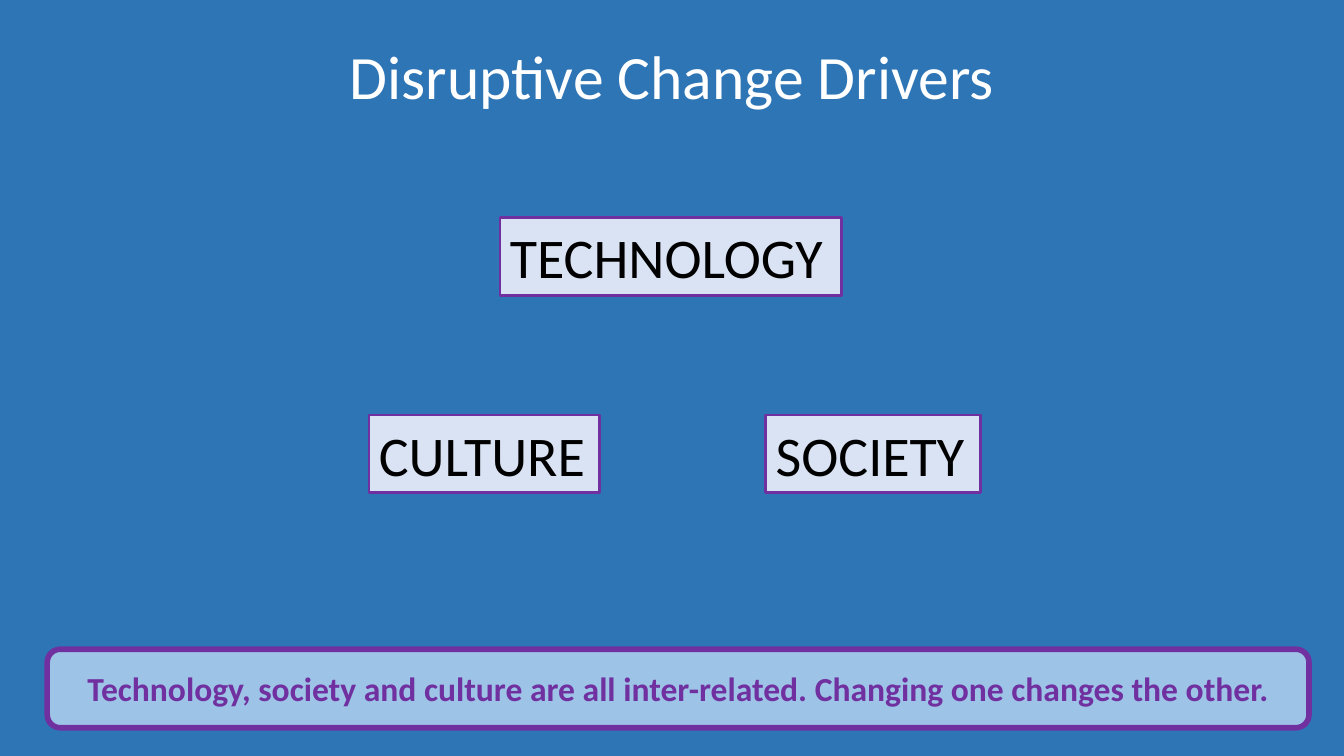
"""Build the slide on the drivers of disruptive change."""
import pptx
import pptx.dml.color
import pptx.enum.shapes
import pptx.enum.text
import pptx.util

Cm = pptx.util.Cm
ALIGN = pptx.enum.text.PP_ALIGN
ANCHOR = pptx.enum.text.MSO_ANCHOR
SHAPE = pptx.enum.shapes.MSO_SHAPE

COLOURS = {
    "background": "2E75B6",
    "title": "FFFFFF",
    "driver": "DAE3F3",
    "driver_text": "000000",
    "summary": "9DC3E6",
    "accent": "7030A0",
}
TITLE = "Disruptive Change Drivers"
SUMMARY = "Technology, society and culture are all inter-related. Changing one changes the other."
UPPER_ROW, LOWER_ROW, DRIVER_HEIGHT = 5.49, 10.46, 1.96
DRIVERS = [
    ("TECHNOLOGY", 12.6, UPPER_ROW, 8.61),
    ("SOCIETY", 19.3, LOWER_ROW, 5.41),
    ("CULTURE", 9.3, LOWER_ROW, 5.82),
]


def rgb(name):
    """Return the named colour."""
    return pptx.dml.color.RGBColor.from_string(COLOURS[name])


def write(shape, text, size, colour, bold=False, align=ALIGN.CENTER,
          anchor=ANCHOR.MIDDLE, wrap=True, spacing=None):
    """Put one formatted paragraph into a shape."""
    frame = shape.text_frame
    frame.word_wrap = wrap
    frame.vertical_anchor = anchor
    frame.auto_size = (pptx.enum.text.MSO_AUTO_SIZE.NONE if wrap
                       else pptx.enum.text.MSO_AUTO_SIZE.SHAPE_TO_FIT_TEXT)
    paragraph = frame.paragraphs[0]
    paragraph.alignment = align
    paragraph.line_spacing = spacing
    run = paragraph.add_run()
    run.text = text
    run.font.name = "Calibri"
    run.font.size = pptx.util.Pt(size)
    run.font.bold = bold
    run.font.color.rgb = rgb(colour)


def add_box(slide, kind, left, top, width, height, fill, line_width):
    """Add a filled box with an accent outline."""
    shape = slide.shapes.add_shape(kind, Cm(left), Cm(top), Cm(width), Cm(height))
    shape.shadow.inherit = False
    shape.fill.solid()
    shape.fill.fore_color.rgb = rgb(fill)
    shape.line.color.rgb = rgb("accent")
    shape.line.width = pptx.util.Pt(line_width)
    return shape


def main():
    """Create and save the presentation."""
    presentation = pptx.Presentation()
    presentation.slide_width = Cm(33.87)
    presentation.slide_height = Cm(19.05)
    slide = presentation.slides.add_slide(presentation.slide_layouts[5])
    slide.background.fill.solid()
    slide.background.fill.fore_color.rgb = rgb("background")

    title = slide.shapes.title
    title.left, title.top, title.width, title.height = Cm(2.33), Cm(1.02), Cm(29.21), Cm(1.98)
    write(title, TITLE, 44, "title", spacing=0.9)

    for text, left, top, width in DRIVERS:
        box = add_box(slide, SHAPE.RECTANGLE, left, top, width, DRIVER_HEIGHT, "driver", 2)
        write(box, text, 40, "driver_text", align=ALIGN.LEFT, anchor=ANCHOR.TOP, wrap=False)

    summary = add_box(slide, SHAPE.ROUNDED_RECTANGLE, 1.19, 16.36, 31.8, 1.98, "summary", 4)
    write(summary, SUMMARY, 24, "accent", bold=True)
    presentation.save("out.pptx")


if __name__ == "__main__":
    main()
